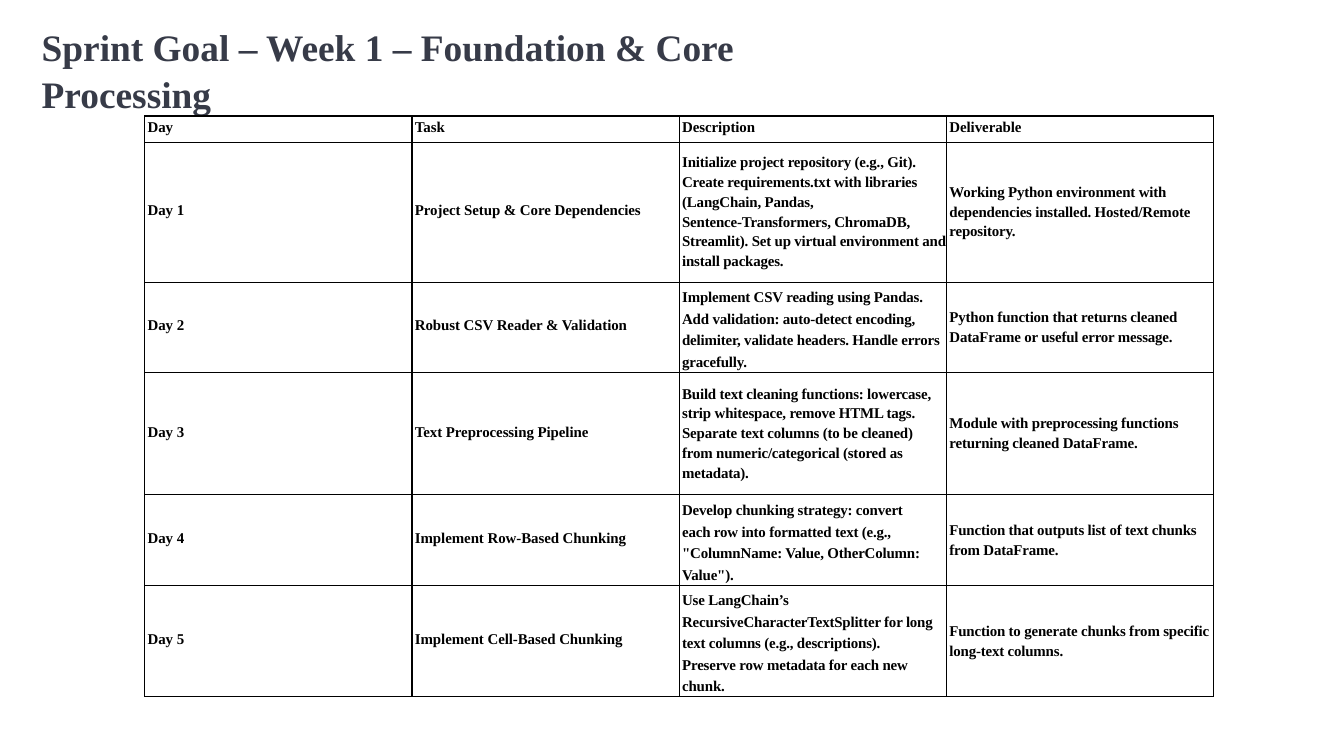
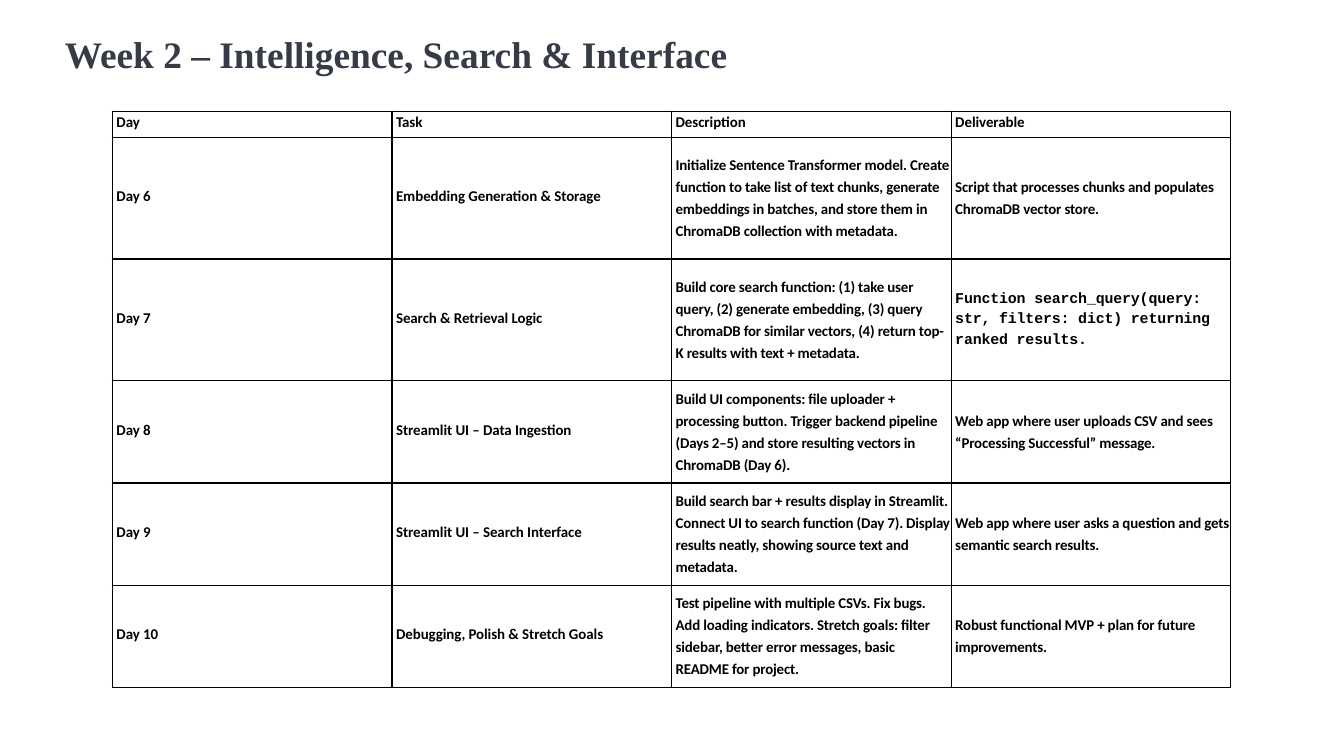
from lxml import etree
from pptx import Presentation
from pptx import util as u
from pptx.dml.color import RGBColor
from pptx.enum import text
from pptx.oxml.ns import qn

Pt = u.Pt
BLACK, TITLE_COLOR = "000000", "373B48"
TITLE_FONT, CODE_FONT = "Times New Roman", "Courier New"
HEADER = ("Day", "Task", "Description", "Deliverable")
LOOSE, FIXED = 1.2, Pt(11.5)  # line spacing of the descriptions

# Each row: height, description line spacing, then the four cells
WEEKS = [
    {
        "title": "Sprint Goal – Week 1 – Foundation & Core Processing",
        "title_box": (21.6, 10, 467, 26),
        "table_at": (77.5, 62.2), "col_width": 143.2,
        "font": "Times New Roman", "indent": 1.6,
        "rows": [
            (14, LOOSE, HEADER),
            (75, LOOSE, (
                "Day 1", "Project Setup & Core Dependencies",
                "Initialize project repository (e.g., Git). Create requirements.txt "
                "with libraries (LangChain, Pandas,\nSentence-Transformers, ChromaDB, "
                "Streamlit). Set up virtual environment and install packages.",
                "Working Python environment with dependencies installed. "
                "Hosted/Remote repository.")),
            (48.6, FIXED, (
                "Day 2", "Robust CSV Reader & Validation",
                "Implement CSV reading using Pandas. Add validation: auto-detect "
                "encoding, delimiter, validate headers. Handle errors gracefully.",
                "Python function that returns cleaned DataFrame or useful error message.")),
            (65.4, LOOSE, (
                "Day 3", "Text Preprocessing Pipeline",
                "Build text cleaning functions: lowercase, strip whitespace, remove "
                "HTML tags. Separate text columns (to be cleaned) from "
                "numeric/categorical (stored as metadata).",
                "Module with preprocessing functions returning cleaned DataFrame.")),
            (48.6, FIXED, (
                "Day 4", "Implement Row-Based Chunking",
                "Develop chunking strategy: convert\neach row into formatted text "
                '(e.g., "ColumnName: Value, OtherColumn: Value").',
                "Function that outputs list of text chunks from DataFrame.")),
            (59.6, FIXED, (
                "Day 5", "Implement Cell-Based Chunking",
                "Use LangChain’s RecursiveCharacterTextSplitter for long text columns "
                "(e.g., descriptions).\nPreserve row metadata for each new chunk.",
                "Function to generate chunks from specific long-text columns.")),
        ],
    },
    {
        "title": "Week 2 – Intelligence, Search & Interface",
        "title_box": (34, 13.6, 360, 26),
        "table_at": (60.2, 59.6), "col_width": 149.8,
        "font": "Calibri", "indent": 2.2,
        "rows": [
            (14, LOOSE, HEADER),
            (65.2, LOOSE, (
                "Day 6", "Embedding Generation & Storage",
                "Initialize Sentence Transformer model. Create function to take list "
                "of text chunks, generate embeddings in batches, and store them in "
                "ChromaDB collection with metadata.",
                "Script that processes chunks and populates ChromaDB vector store.")),
            (65.2, LOOSE, (
                "Day 7", "Search & Retrieval Logic",
                "Build core search function: (1) take user query, (2) generate "
                "embedding, (3) query ChromaDB for similar vectors, (4) return top-K "
                "results with text + metadata.",
                "Function search_query(query: str, filters: dict) returning ranked results.")),
            (54.8, LOOSE, (
                "Day 8", "Streamlit UI – Data Ingestion",
                "Build UI components: file uploader + processing button. Trigger "
                "backend pipeline (Days 2–5) and store resulting vectors in ChromaDB (Day 6).",
                "Web app where user uploads CSV and sees “Processing Successful” message.")),
            (54.8, LOOSE, (
                "Day 9", "Streamlit UI – Search Interface",
                "Build search bar + results display in Streamlit. Connect UI to search "
                "function (Day 7). Display results neatly, showing source text and metadata.",
                "Web app where user asks a question and gets semantic search results.")),
            (54.8, LOOSE, (
                "Day 10", "Debugging, Polish & Stretch Goals",
                "Test pipeline with multiple CSVs. Fix bugs. Add loading indicators. "
                "Stretch goals: filter sidebar, better error messages, basic README "
                "for project.",
                "Robust functional MVP + plan for future improvements.")),
        ],
    },
]


def rgb(value):
    return RGBColor.from_string(value)


def set_all(obj, values):
    for name, value in values.items():
        setattr(obj, name, value)


def write(tf, content, font, size, color, spacing, tracking):
    """Fill a text frame, one paragraph per line of content."""
    tf.text = content
    for p in tf.paragraphs:
        set_all(p, {"alignment": text.PP_ALIGN.LEFT, "line_spacing": spacing})
        for r in p.runs:
            set_all(r.font, {"name": font, "size": Pt(size), "bold": True})
            r.font.color.rgb = rgb(color)
            r._r.get_or_add_rPr().set("spc", str(tracking))


def add_borders(cell):
    tc_pr = cell._tc.get_or_add_tcPr()
    for side in ("lnL", "lnR", "lnT", "lnB"):
        ln = etree.SubElement(tc_pr, qn(f"a:{side}"), w=str(Pt(0.75)))
        fill = etree.SubElement(ln, qn("a:solidFill"))
        etree.SubElement(fill, qn("a:srgbClr"), val=BLACK)


def add_title(s, week):
    sp = s.shapes.title
    set_all(sp, dict(zip(("left", "top", "width", "height"), map(Pt, week["title_box"]))))
    tf = sp.text_frame
    write(tf, week["title"], TITLE_FONT, 20, TITLE_COLOR, 1.05, 0)
    set_all(tf, {"margin_left": Pt(0.7), "margin_right": 0, "margin_top": Pt(1.7),
                 "margin_bottom": 0, "word_wrap": True,
                 "vertical_anchor": text.MSO_ANCHOR.TOP,
                 "auto_size": text.MSO_AUTO_SIZE.NONE})


def add_plan(s, week):
    rows, width = week["rows"], week["col_width"]
    left, top = week["table_at"]
    table = s.shapes.add_table(
        len(rows), len(HEADER), Pt(left), Pt(top),
        Pt(width * len(HEADER)), Pt(sum(row[0] for row in rows))).table
    set_all(table, {"first_row": False, "horz_banding": False})
    for col in table.columns:
        col.width = Pt(width)
    for i, (height, spacing, contents) in enumerate(rows):
        table.rows[i].height = Pt(height)
        for j, content in enumerate(contents):
            cell = table.cell(i, j)
            column = HEADER[j]
            wraps = i > 0 and column in ("Description", "Deliverable")
            line = spacing if column == "Description" else LOOSE
            is_code = "search_query(" in content
            write(cell.text_frame, content, CODE_FONT if is_code else week["font"],
                  8, BLACK, line if wraps else 1.0, -10 if wraps else -5)
            set_all(cell, {"margin_left": Pt(week["indent"]), "margin_right": 0,
                           "margin_top": 0,
                           "margin_bottom": 0 if wraps and line == FIXED else Pt(2),
                           "vertical_anchor": text.MSO_ANCHOR.MIDDLE})
            add_borders(cell)
            cell.fill.background()


def main():
    prs = Presentation()
    set_all(prs, {"slide_width": Pt(720), "slide_height": Pt(405)})
    for week in WEEKS:
        s = prs.slides.add_slide(prs.slide_layouts[5])
        add_title(s, week)
        add_plan(s, week)
    prs.save("out.pptx")


if __name__ == "__main__":
    main()
